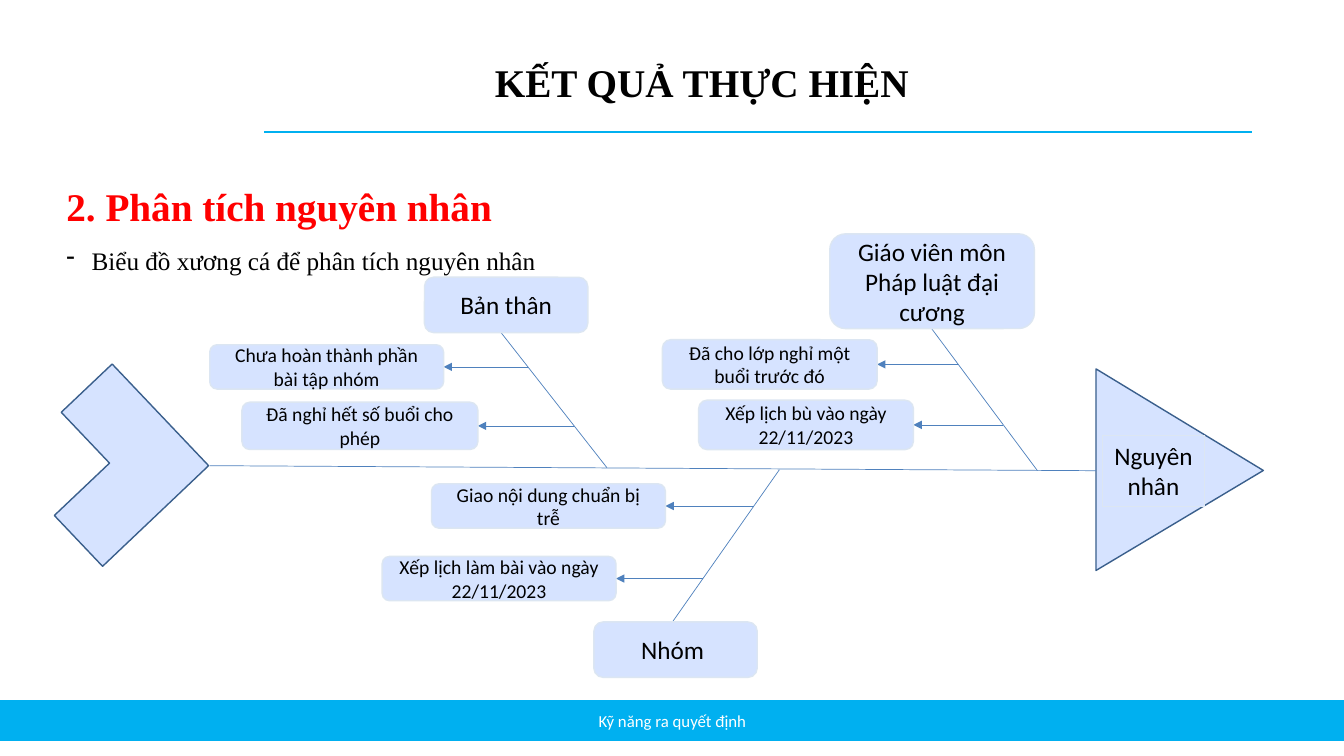
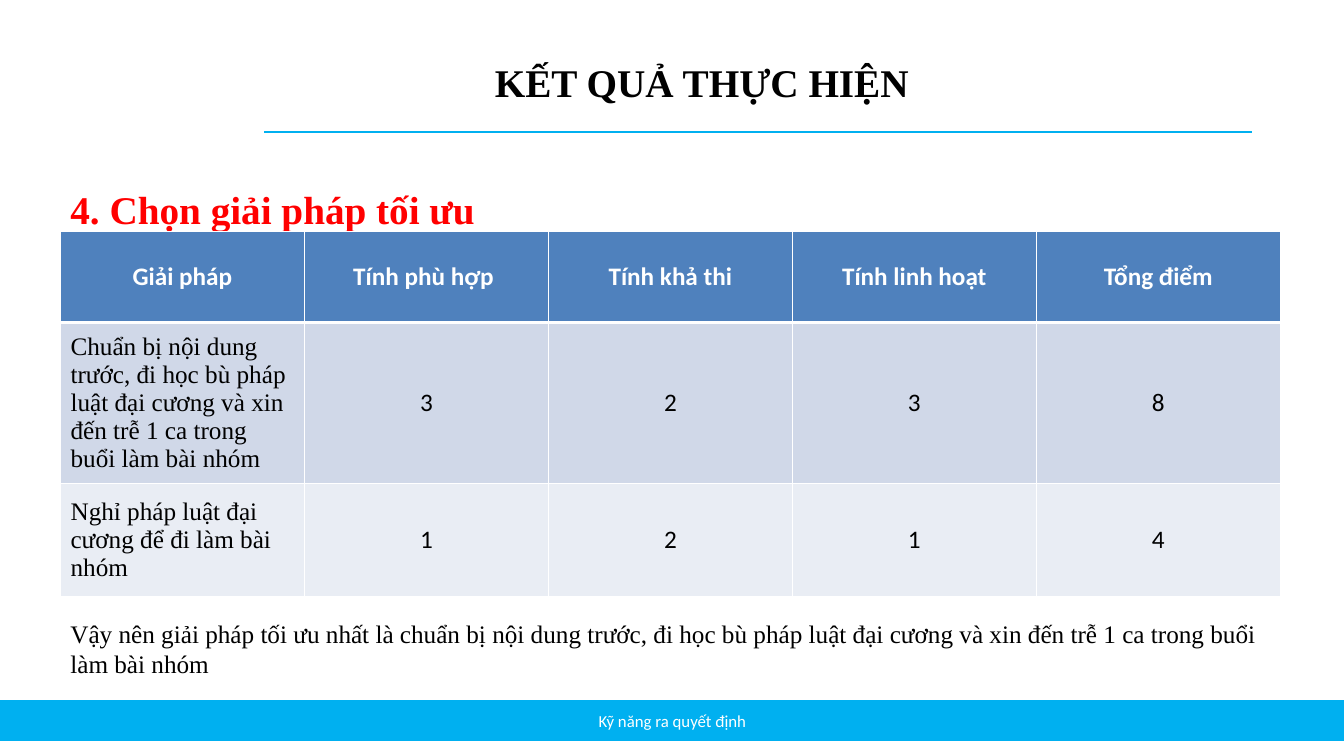
from lxml import etree
from pptx import Presentation
from pptx.dml.color import RGBColor
from pptx.enum.shapes import MSO_CONNECTOR, MSO_SHAPE
from pptx.enum.text import MSO_ANCHOR, PP_ALIGN
from pptx.oxml.ns import qn
from pptx.util import Inches, Pt

LEFT, CENTER = PP_ALIGN.LEFT, PP_ALIGN.CENTER
TOP, MIDDLE = MSO_ANCHOR.TOP, MSO_ANCHOR.MIDDLE
RECT, ROUND = MSO_SHAPE.RECTANGLE, MSO_SHAPE.ROUNDED_RECTANGLE
TRIANGLE, CORNER = MSO_SHAPE.ISOSCELES_TRIANGLE, MSO_SHAPE.CORNER
STRAIGHT = MSO_CONNECTOR.STRAIGHT

SERIF, SANS = "Times New Roman", "Calibri"
BLACK, WHITE, RED, CYAN = "000000", "FFFFFF", "FF0000", "00B0F0"
BLUE, PALE, PALE_EDGE, DARK_EDGE = "4F81BD", "D6E3FF", "DCE6F2", "3A5F8C"
BANDS = ("D0D8E8", "E9EDF4")

TITLE = "KẾT QUẢ THỰC HIỆN"
FOOTER = "Kỹ năng ra quyết định"

# Places within the fishbone's box: bone from (head box edge) and to (spine),
# then causes as left, top, width, height, text.
BONES = [
    {"head": (3.84, 0.43, 1.62, 0.55, "Bản thân"),
     "bone": (4.6, 0.98, 5.65, 2.32),
     "causes": [(1.71, 1.1, 2.32, 0.44, "Chưa hoàn thành phần bài tập nhóm"),
                (2.03, 1.67, 2.34, 0.47, "Đã nghỉ hết số buổi cho phép")]},
    {"head": (7.86, 0, 2.03, 0.94, "Giáo viên môn Pháp luật đại cương"),
     "bone": (8.87, 0.94, 9.92, 2.35),
     "causes": [(6.2, 1.05, 2.13, 0.49, "Đã cho lớp nghỉ một buổi trước đó"),
                (6.56, 1.65, 2.13, 0.49, "Xếp lịch bù vào ngày 22/11/2023")]},
    {"head": (5.52, 3.85, 1.62, 0.55, "Nhóm "),
     "bone": (6.3, 3.85, 7.36, 2.34),
     "causes": [(3.91, 2.48, 2.32, 0.44, "Giao nội dung chuẩn bị trễ"),
                (3.42, 3.2, 2.32, 0.44, "Xếp lịch làm bài vào ngày 22/11/2023")]},
]

SCORES = [
    ("Giải pháp", "Tính phù hợp ", "Tính khả thi", "Tính linh hoạt", "Tổng điểm"),
    ("Chuẩn bị nội dung trước, đi học bù pháp luật đại cương và xin đến trễ "
     "1 ca trong buổi làm bài nhóm", "3", "2", "3", "8"),
    ("Nghỉ pháp luật đại cương để đi làm bài nhóm", "1", "2", "1", "4"),
]
CONCLUSION = ("Vậy nên giải pháp tối ưu nhất là chuẩn bị nội dung trước, đi học bù "
              "pháp luật đại cương và xin đến trễ 1 ca trong buổi làm bài nhóm")


def rgb(value):
    return RGBColor.from_string(value)


def write(tf, text, size=18, font=SANS, color=BLACK, bold=False, align=CENTER,
          anchor=MIDDLE, spacing=None, bullet=None, append=False):
    """Write one paragraph per line of text, optionally after what is there."""
    tf.word_wrap = True
    tf.vertical_anchor = anchor
    for i, line in enumerate(text.split("\n")):
        p = tf.add_paragraph() if append or i else tf.paragraphs[0]
        p.alignment = align
        if spacing:
            p.line_spacing = spacing
        if bullet:
            pPr = p._p.get_or_add_pPr()
            pPr.set("marL", str(Inches(0.25)))
            pPr.set("indent", str(Inches(-0.25)))
            etree.SubElement(pPr, qn("a:buChar"), char=bullet)
        r = p.add_run()
        r.text = line
        r.font.size, r.font.name, r.font.bold = Pt(size), font, bold
        r.font.color.rgb = rgb(color)


def add_text(s, box, text, **fmt):
    tf = s.shapes.add_textbox(*map(Inches, box)).text_frame
    write(tf, text, **fmt)
    return tf


def add_box(s, kind, box, fill=PALE, edge=PALE_EDGE, width=1, text=None, **fmt):
    sp = s.shapes.add_shape(kind, *map(Inches, box))
    sp.shadow.inherit = False
    sp.fill.solid()
    sp.fill.fore_color.rgb = rgb(fill)
    sp.line.color.rgb = rgb(edge)
    sp.line.width = Pt(width)
    if text:
        write(sp.text_frame, text, **fmt)
    return sp


def add_line(s, x1, y1, x2, y2, color=BLUE, width=0.5, arrow=False):
    line = s.shapes.add_connector(STRAIGHT, *map(Inches, (x1, y1, x2, y2)))
    line.line.color.rgb = rgb(color)
    line.line.width = Pt(width)
    if arrow:
        etree.SubElement(line.line._get_or_add_ln(), qn("a:tailEnd"), type="triangle")
    etree.SubElement(line._element.spPr, qn("a:effectLst"))


def add_frame(prs):
    """Add a slide with the shared title, rule and footer band."""
    s = prs.slides.add_slide(prs.slide_layouts[6])
    add_box(s, RECT, (0, 6.95, 13.33, 0.4), CYAN, CYAN)
    add_line(s, 2.62, 1.31, 12.42, 1.31, CYAN, 1.5)
    add_text(s, (1.75, 0.39, 10.42, 0.91), TITLE, size=28, font=SERIF, bold=True,
             spacing=0.9)
    add_text(s, (4.42, 6.95, 4.5, 0.4), FOOTER, size=12, color=WHITE)
    return s


def add_heading(s, x, y, text):
    return add_text(s, (x, y, 12.42, 1.3), text, size=28, font=SERIF, color=RED,
                    bold=True, align=LEFT, anchor=TOP, spacing=1.5)


def add_bone(s, x, y, head, bone, causes):
    """Draw one branch; every cause gets an arrow from the bone to its right edge."""
    x1, y1, x2, y2 = bone
    add_line(s, x + x1, y + y1, x + x2, y + y2)
    *box, text = head
    add_box(s, ROUND, (x + box[0], y + box[1], *box[2:]), text=text)
    for left, top, w, h, text in causes:
        mid = top + h / 2
        start = x1 + (x2 - x1) * (mid - y1) / (y2 - y1)
        add_line(s, x + start, y + mid, x + left + w, y + mid, arrow=True)
        add_box(s, ROUND, (x + left, y + top, w, h), text=text, size=14)


def add_fishbone(s, x, y):
    head = add_box(s, TRIANGLE, (x + 10.33, y + 1.51, 2, 1.66), edge=DARK_EDGE)
    head.rotation = 90
    head.adjustments[0] = 0.504
    add_line(s, x + 10.5, y + 2.35, x + 1.71, y + 2.3)
    tail = add_box(s, CORNER, (x, y + 1.57, 1.39, 1.45), edge=DARK_EDGE)
    tail.rotation = 226.5
    add_box(s, RECT, (x + 10.56, y + 2, 1.02, 0.71), width=0.75,
            text="Nguyên\nnhân", anchor=TOP)
    for branch in BONES:
        add_bone(s, x, y, **branch)


def set_border(cell, side, width):
    ln = etree.SubElement(cell._tc.get_or_add_tcPr(), qn("a:" + side), w=str(Pt(width)))
    fill = etree.SubElement(ln, qn("a:solidFill"))
    etree.SubElement(fill, qn("a:srgbClr"), val=WHITE)


def add_scores(s, x, y, width, heights):
    cols = len(SCORES[0])
    table = s.shapes.add_table(len(SCORES), cols, *map(
        Inches, (x, y, width, sum(heights)))).table
    for col in table.columns:
        col.width = Inches(width / cols)
    for i, (values, height) in enumerate(zip(SCORES, heights)):
        table.rows[i].height = Inches(height)
        for j, value in enumerate(values):
            cell = table.cell(i, j)
            for side in ("lnL", "lnR", "lnT", "lnB"):
                thick = (i, side) in ((0, "lnB"), (1, "lnT"))
                set_border(cell, side, 3 if thick else 1)
            cell.fill.solid()
            cell.fill.fore_color.rgb = rgb(BANDS[i - 1] if i else BLUE)
            label = i > 0 and j == 0
            write(cell.text_frame, value, bold=i == 0, color=BLACK if i else WHITE,
                  font=SERIF if label else SANS, align=LEFT if label else CENTER)
            cell.vertical_anchor = MIDDLE


def add_cause_slide(prs):
    s = add_frame(prs)
    tf = add_heading(s, 0.56, 1.53, "2. Phân tích nguyên nhân")
    write(tf, "Biểu đồ xương cá để phân tích nguyên nhân", font=SERIF, align=LEFT,
          anchor=TOP, spacing=1.5, bullet="-", append=True)
    add_fishbone(s, 0.37, 2.32)


def add_solution_slide(prs):
    s = add_frame(prs)
    add_heading(s, 0.6, 1.56, "4. Chọn giải pháp tối ưu")
    add_scores(s, 0.6, 2.3, 12.1, (0.9, 1.48, 1.12))
    add_text(s, (0.6, 6.08, 12.1, 0.71), CONCLUSION, font=SERIF, align=LEFT, anchor=TOP)


def main():
    prs = Presentation()
    prs.slide_width, prs.slide_height = Inches(13.33), Inches(7.5)
    add_cause_slide(prs)
    add_solution_slide(prs)
    prs.save("out.pptx")


if __name__ == "__main__":
    main()
